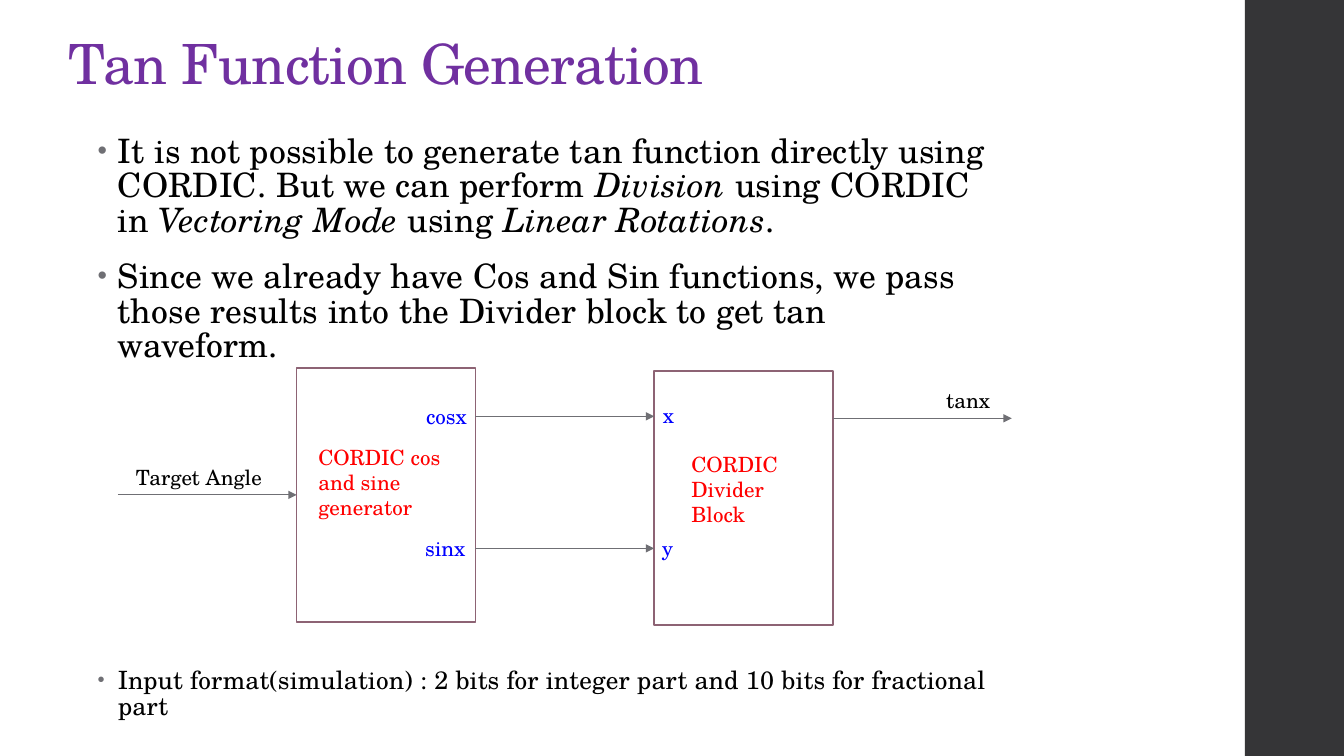
from dataclasses import dataclass

from lxml.etree import SubElement as Sub
from pptx import Presentation
from pptx.dml.color import RGBColor as RGB
from pptx.enum.shapes import MSO_CONNECTOR as CON, MSO_SHAPE as SHAPE
from pptx.enum.text import MSO_ANCHOR as ANC, MSO_AUTO_SIZE as FIT, PP_ALIGN as ALIGN
from pptx.oxml.ns import qn
from pptx.util import Pt


@dataclass(frozen=True)
class Theme:
    face: str = "TeX Gyre Schola"
    head: str = "7030A0"
    text: str = "000000"
    port: str = "0000FF"
    block: str = "FF0000"
    edge: str = "8D6374"
    line: str = "6F6F74"
    side: str = "353537"
    paper: str = "FFFFFF"
    title: float = 39.6
    body: float = 24
    note: float = 18
    label: float = 15


T = Theme()


def hue(code):
    return RGB.from_string(code)


def put(shape, x, y, w, h):
    shape.left, shape.top, shape.width, shape.height = Pt(x), Pt(y), Pt(w), Pt(h)


def add_run(para, text, size, color, slant=False, gap=0):
    run = para.add_run()
    run.text = text
    font = run.font
    font.name, font.size, font.italic = T.face, Pt(size), slant
    font.color.rgb = hue(color)
    if gap:
        run._r.get_or_add_rPr().set("spc", str(round(gap * 100)))


def add_rect(slide, x, y, w, h, fill, edge=None):
    rect = slide.shapes.add_shape(SHAPE.RECTANGLE, Pt(x), Pt(y), Pt(w), Pt(h))
    rect.shadow.inherit = False
    rect.fill.solid()
    rect.fill.fore_color.rgb = hue(fill)
    if edge:
        rect.line.color.rgb = hue(edge)
        rect.line.width = Pt(1.1)
    else:
        rect.line.fill.background()


def add_arrow(slide, x, y, w):
    arrow = slide.shapes.add_connector(CON.STRAIGHT, Pt(x), Pt(y), Pt(x + w), Pt(y))
    arrow.line.color.rgb = hue(T.line)
    arrow.line.width = Pt(0.75)
    Sub(arrow.line._get_or_add_ln(), qn("a:tailEnd"), type="triangle")
    Sub(arrow._element.spPr, qn("a:effectLst"))


def add_label(slide, text, color, x, y, w, h=25.2):
    frame = slide.shapes.add_textbox(Pt(x), Pt(y), Pt(w), Pt(h)).text_frame
    frame.word_wrap = True
    add_run(frame.paragraphs[0], text, T.label, color)


def add_title(slide, x, y, w, h):
    title = slide.shapes.title
    put(title, x, y, w, h)
    frame = title.text_frame
    frame.auto_size, frame.vertical_anchor = FIT.NONE, ANC.BOTTOM
    para = frame.paragraphs[0]
    para.alignment, para.line_spacing = ALIGN.LEFT, 0.9
    add_run(para, "Tan Function Generation", T.title, T.head, gap=-0.5)


def add_bullet(para):
    props = para._p.get_or_add_pPr()
    props.set("marL", str(Pt(14.4)))
    props.set("indent", str(Pt(-14.4)))
    Sub(Sub(props, qn("a:buClr")), qn("a:srgbClr"), val=T.line)
    Sub(props, qn("a:buSzPct"), val="80000")
    Sub(props, qn("a:buFont"), typeface="Arial")
    Sub(props, qn("a:buChar"), char="•")


def add_body(slide, x, y, w, h):
    # Each item: space before, type size, runs (text, italic)
    items = [
        (0, T.body, [
            ("It is not possible to generate tan function directly using CORDIC. "
             "But we can perform ", False),
            ("Division", True), (" using CORDIC in ", False),
            ("Vectoring Mode ", True), ("using ", False),
            ("Linear Rotations", True), (".", False)]),
        (14, T.body, [
            ("Since we already have Cos and Sin functions, we pass those results "
             "into the Divider block to get tan waveform.", False)]),
        # The wide space leaves room for the diagram
        (215.5, T.note, [
            ("Input format(simulation) : 2 bits for integer part and "
             "10 bits for fractional part", False)]),
    ]
    body = slide.placeholders[1]
    put(body, x, y, w, h)
    frame = body.text_frame
    frame.auto_size, frame.vertical_anchor = FIT.NONE, ANC.TOP
    for i, (space, size, runs) in enumerate(items):
        para = frame.add_paragraph() if i else frame.paragraphs[0]
        add_bullet(para)
        para.alignment, para.line_spacing = ALIGN.LEFT, 0.85
        para.space_before, para.space_after = Pt(space), Pt(2)
        for text, slant in runs:
            add_run(para, text, size, T.text, slant, 0.1)


def add_chain(slide, x, y, w, h):
    # Five equal columns: arrow, block, arrows, block, arrow
    col = w / 5
    for i, dy in ((1, 0), (3, 2.2)):
        add_rect(slide, x + i * col, y + dy, col, h, T.paper, T.edge)
    for i, dy in ((0, h / 2), (2, 34.6), (2, 128.9), (4, 36)):
        add_arrow(slide, x + i * col, y + dy, col)
    # Signal and port names
    for text, color, dx, dy, wide in (
        ("Target Angle", T.text, 5.8, 65.5, 108.7),
        ("cosx", T.port, 213.1, 21.6, 84.2),
        ("sinx", T.port, 212.4, 115.9, 84.2),
        ("x", T.port, 382.3, 20.9, 84.2),
        ("y", T.port, 381.6, 115.9, 84.2),
        ("tanx", T.text, 584.6, 10.8, 84.2),
    ):
        add_label(slide, text, color, x + dx, y + dy, wide)
    # Block names
    add_label(slide, "CORDIC cos and sine generator", T.block,
              x + 136.1, y + 51.1, 121.7, 61.9)
    add_label(slide, "CORDIC Divider Block", T.block,
              x + 402.5, y + 56.2, 99.4, 61.9)


def main():
    deck = Presentation()
    deck.slide_width, deck.slide_height = Pt(960), Pt(540)
    slide = deck.slides.add_slide(deck.slide_layouts[1])
    add_rect(slide, 889.2, 0, 72, 540, T.side)
    add_title(slide, 41.8, 33.8, 850.3, 38.9)
    add_body(slide, 62.6, 93.6, 655.2, 446.4)
    add_chain(slide, 84.2, 262.8, 638.5, 181.4)
    deck.save("out.pptx")


if __name__ == "__main__":
    main()
